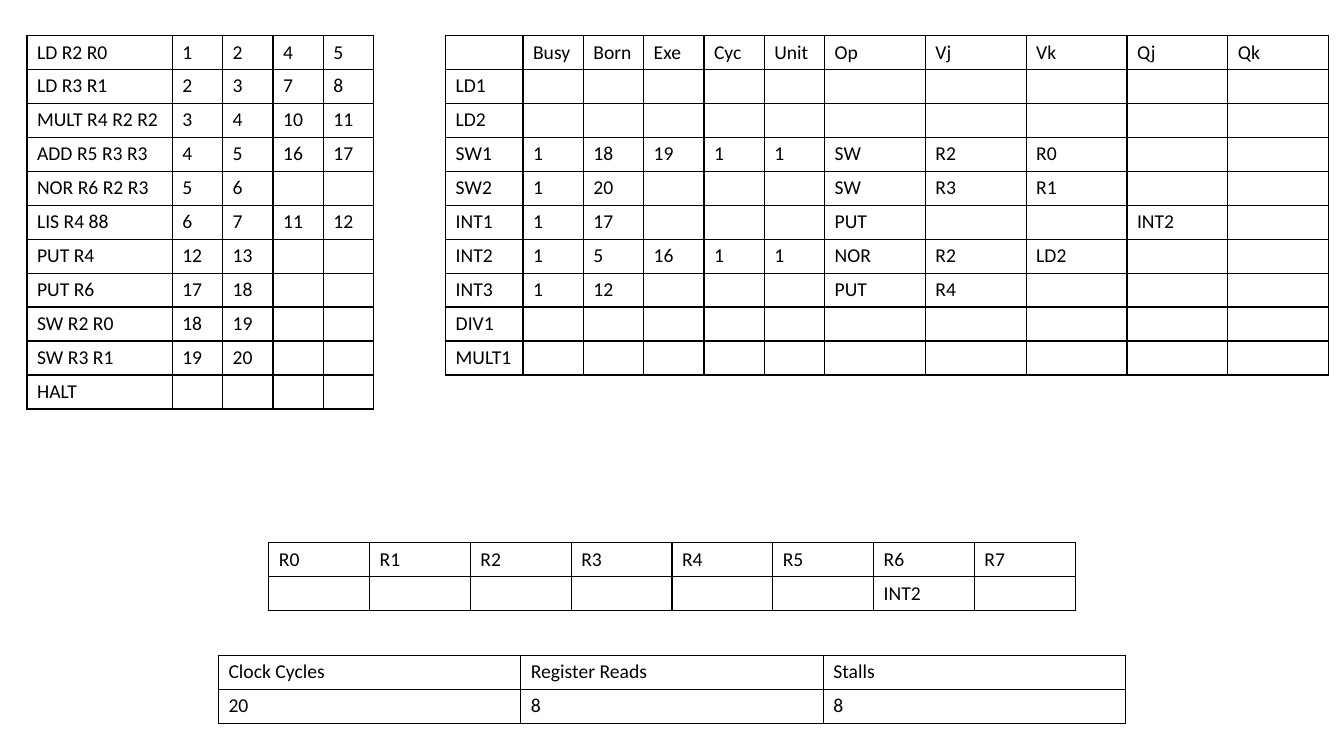
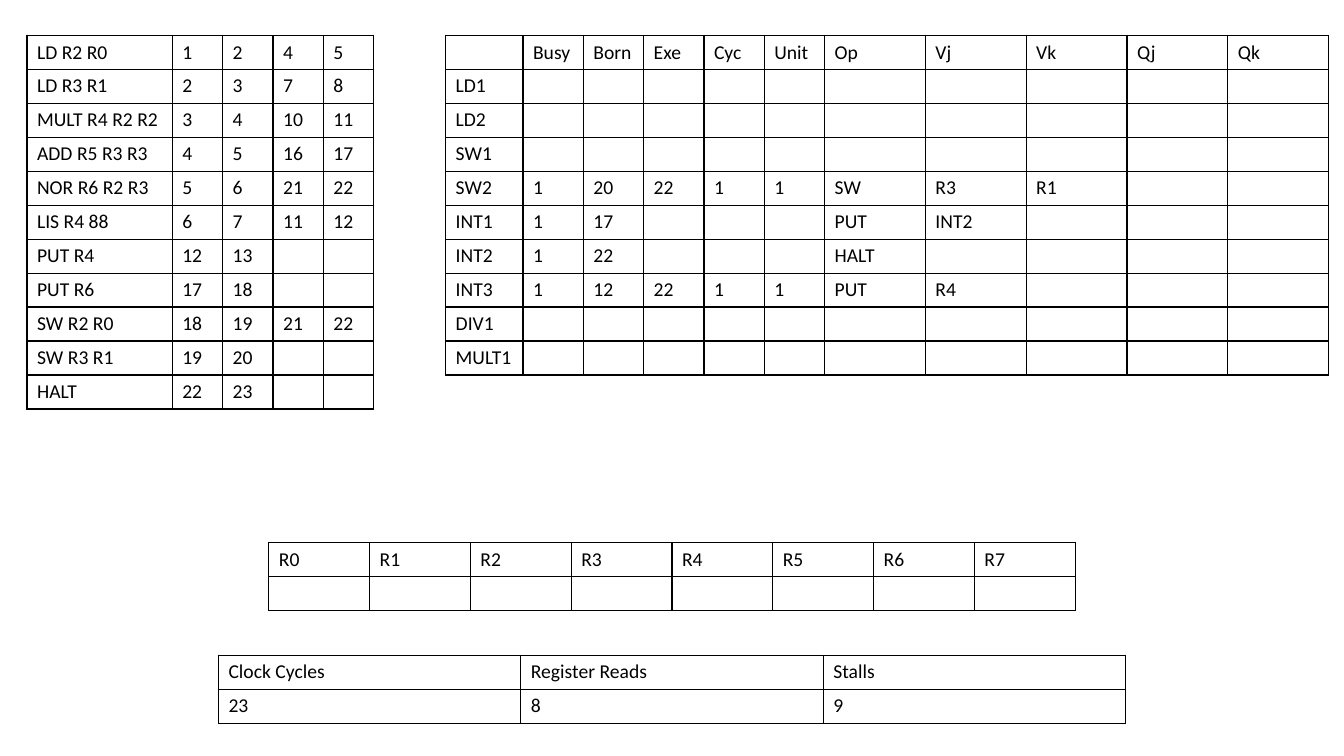
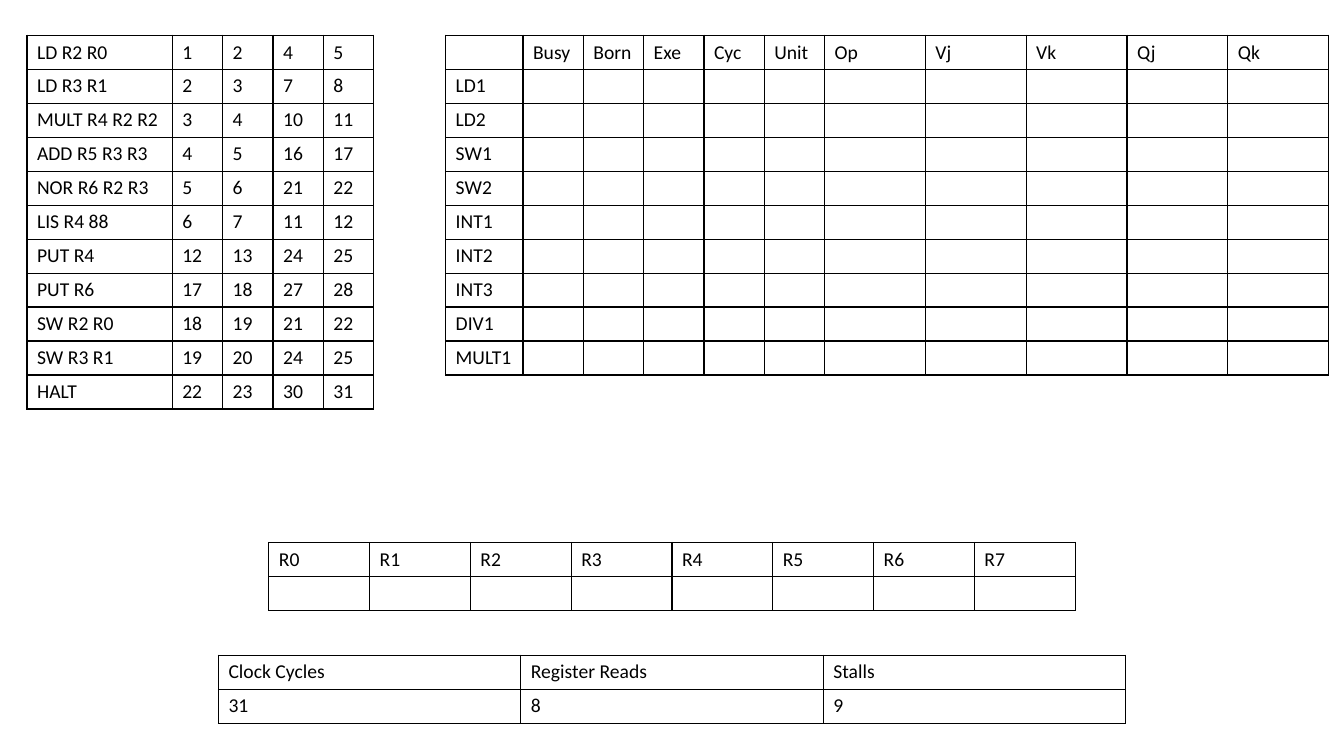
"""Build three snapshots of an instruction scheduling run."""
from lxml.etree import SubElement
from pptx import Presentation
from pptx.dml.color import RGBColor
from pptx.oxml.ns import qn
from pptx.util import Cm, Pt

COLORS = {"ink": "000000"}
FONT = "Calibri"
FONT_SIZE = Pt(14)
BORDER_WIDTH = Pt(1)
PAGE_WIDTH, PAGE_HEIGHT = Cm(33.87), Cm(19.05)
ROW_HEIGHT = Cm(0.85)
TOP = Cm(0.89)

PROGRAM = {
    "LD R2 R0": (1, 2, 4, 5),
    "LD R3 R1": (2, 3, 7, 8),
    "MULT R4 R2 R2": (3, 4, 10, 11),
    "ADD R5 R3 R3": (4, 5, 16, 17),
    "NOR R6 R2 R3": (5, 6, 21, 22),
    "LIS R4 88": (6, 7, 11, 12),
    "PUT R4": (12, 13, 24, 25),
    "PUT R6": (17, 18, 27, 28),
    "SW R2 R0": (18, 19, 21, 22),
    "SW R3 R1": (19, 20, 24, 25),
    "HALT": (22, 23, 30, 31),
}
STATION_FIELDS = ["Busy", "Born", "Exe", "Cyc", "Unit", "Op", "Vj", "Vk", "Qj", "Qk"]
STATIONS = ["LD1", "LD2", "SW1", "SW2", "INT1", "INT2", "INT3", "DIV1", "MULT1"]
REGISTERS = [f"R{number}" for number in range(8)]
TOTALS = ["Clock Cycles", "Register Reads", "Stalls"]

SNAPSHOTS = [
    {
        "totals": (20, 8, 8),
        "waiting": {"R6": "INT2"},
        "stations": {
            "SW1": (1, 18, 19, 1, 1, "SW", "R2", "R0"),
            "SW2": (1, 20, "", "", "", "SW", "R3", "R1"),
            "INT1": (1, 17, "", "", "", "PUT", "", "", "INT2"),
            "INT2": (1, 5, 16, 1, 1, "NOR", "R2", "LD2"),
            "INT3": (1, 12, "", "", "", "PUT", "R4"),
        },
    },
    {
        "totals": (23, 8, 9),
        "waiting": {},
        "stations": {
            "SW2": (1, 20, 22, 1, 1, "SW", "R3", "R1"),
            "INT1": (1, 17, "", "", "", "PUT", "INT2"),
            "INT2": (1, 22, "", "", "", "HALT"),
            "INT3": (1, 12, 22, 1, 1, "PUT", "R4"),
        },
    },
    {"totals": (31, 8, 9), "waiting": {}, "stations": {}},
]


def style_cell(cell):
    """Give a cell thin borders, no fill and the shared font."""
    properties = cell._tc.get_or_add_tcPr()
    for side in ("a:lnL", "a:lnR", "a:lnT", "a:lnB"):
        line = SubElement(properties, qn(side), w=str(BORDER_WIDTH))
        fill = SubElement(line, qn("a:solidFill"))
        SubElement(fill, qn("a:srgbClr"), val=COLORS["ink"])
    cell.fill.background()
    para = cell.text_frame.paragraphs[0]
    para.font.name = FONT
    para.font.size = FONT_SIZE
    para.font.color.rgb = RGBColor.from_string(COLORS["ink"])
    SubElement(para._p, qn("a:endParaRPr"), sz=str(int(FONT_SIZE.pt * 100)))


def add_grid(page, top, widths, rows, left=None):
    """Add a bordered table, centred on the page unless left is given."""
    width = sum(widths)
    if left is None:
        left = (PAGE_WIDTH - width) // 2
    frame = page.shapes.add_table(
        len(rows), len(widths), left, top, width, ROW_HEIGHT * len(rows)
    )
    table = frame.table
    table.first_row = table.horz_banding = False
    for column, column_width in zip(table.columns, widths):
        column.width = column_width
    for row, values in zip(table.rows, rows):
        row.height = ROW_HEIGHT
        padded = [*values, *[""] * (len(widths) - len(values))]
        for cell, value in zip(row.cells, padded):
            if value != "":
                cell.text = str(value)
            style_cell(cell)


def program_rows(clock):
    """List each instruction with the stages reached by the given clock."""
    return [
        [name, *(time for time in times if time <= clock)]
        for name, times in PROGRAM.items()
    ]


def station_rows(busy):
    """List the header and every reservation station, idle ones blank."""
    return [["", *STATION_FIELDS]] + [[name, *busy.get(name, ())] for name in STATIONS]


def add_snapshot(deck, snapshot):
    """Add one slide with the four state tables."""
    page = deck.slides.add_slide(deck.slide_layouts[6])
    totals = snapshot["totals"]
    waiting = [snapshot["waiting"].get(name, "") for name in REGISTERS]
    station_widths = [Cm(1.95)] + [Cm(1.52)] * 5 + [Cm(2.54)] * 5
    add_grid(page, TOP, [Cm(3.66)] + [Cm(1.27)] * 4, program_rows(totals[0]), Cm(0.68))
    add_grid(page, TOP, station_widths, station_rows(snapshot["stations"]), Cm(11.23))
    add_grid(page, Cm(13.67), [Cm(2.54)] * len(REGISTERS), [REGISTERS, waiting])
    add_grid(page, Cm(16.51), [Cm(7.62)] * len(TOTALS), [TOTALS, totals])


def main():
    """Build and save the deck."""
    deck = Presentation()
    deck.slide_width, deck.slide_height = PAGE_WIDTH, PAGE_HEIGHT
    for snapshot in SNAPSHOTS:
        add_snapshot(deck, snapshot)
    deck.save("out.pptx")


main()
